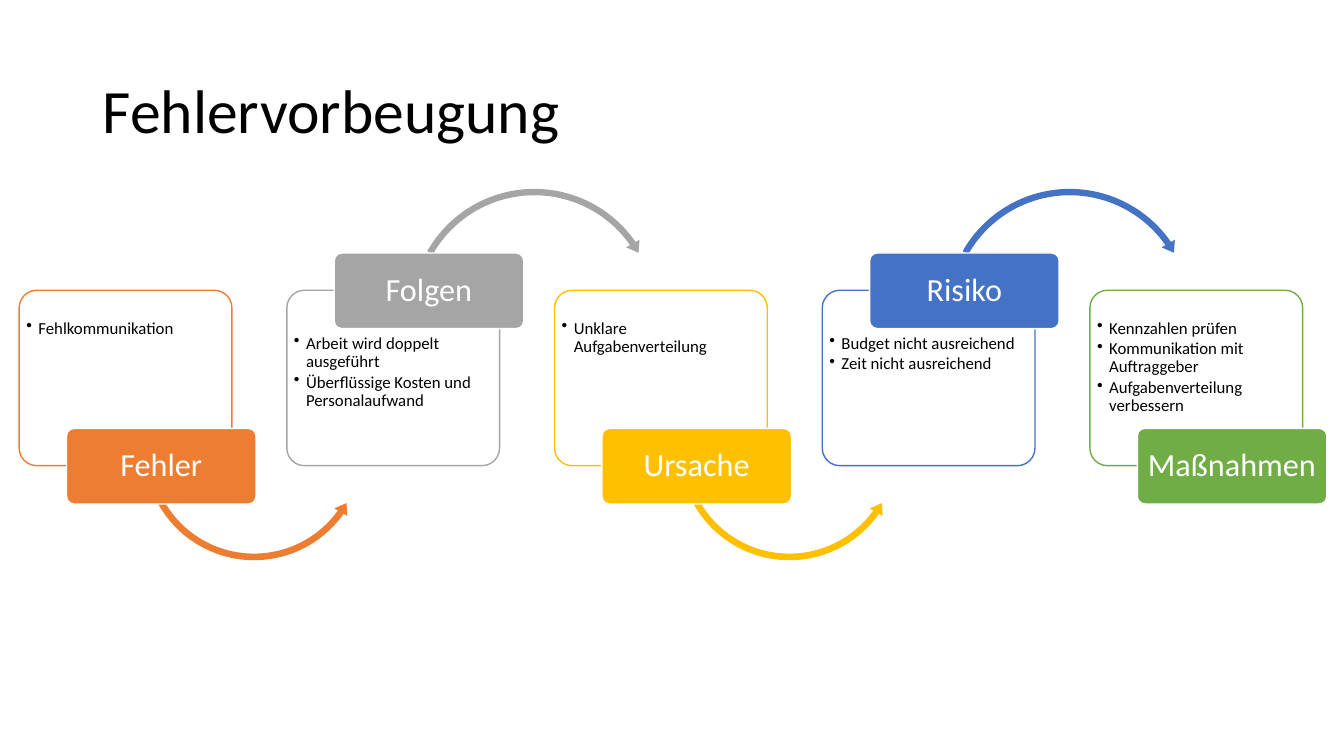
from lxml.etree import SubElement
from pptx import Presentation
from pptx.dml.color import RGBColor
from pptx.enum.shapes import MSO_SHAPE as Kind
from pptx.enum.text import MSO_ANCHOR as Anchor, MSO_AUTO_SIZE as Fit, PP_ALIGN as Align
from pptx.oxml.ns import qn
from pptx.util import Inches, Pt

BLACK = RGBColor(0x00, 0x00, 0x00)
WHITE = RGBColor(0xFF, 0xFF, 0xFF)
ORANGE = RGBColor(0xED, 0x7D, 0x31)
GREY = RGBColor(0xA5, 0xA5, 0xA5)
GOLD = RGBColor(0xFF, 0xC0, 0x00)
BLUE = RGBColor(0x44, 0x72, 0xC4)
GREEN = RGBColor(0x70, 0xAD, 0x47)

STEPS = [
    ("Fehler", ORANGE, ["Fehlkommunikation"]),
    ("Folgen", GREY, ["Arbeit wird doppelt ausgeführt",
                      "Überflüssige Kosten und Personalaufwand"]),
    ("Ursache", GOLD, ["Unklare Aufgabenverteilung"]),
    ("Risiko", BLUE, ["Budget nicht ausreichend", "Zeit nicht ausreichend"]),
    ("Maßnahmen", GREEN, ["Kennzahlen prüfen", "Kommunikation mit Auftraggeber",
                          "Aufgabenverteilung verbessern"]),
]
LEFT = 0.19
PITCH = (10.81 - LEFT) / 4
DOWN = [0.029, 3.489, 21.244, 90.245, 0.033]
OVER = [0.025, 3.095, 195.15, 125.755, 0.03]


def add_form(kind, x, y, w, h, adjust, fill, line=None):
    form = slide.shapes.add_shape(kind, Inches(x), Inches(y), Inches(w), Inches(h))
    form.shadow.inherit = False
    for i, value in enumerate(adjust):
        form.adjustments[i] = value
    form.fill.solid()
    form.fill.fore_color.rgb = fill
    if line is None:
        form.line.fill.background()
    else:
        form.line.color.rgb = line
        form.line.width = Pt(1)
    return form


def style(para, size, color, align):
    para.alignment = align
    para.line_spacing = 0.9
    para.font.name = "Calibri"
    para.font.size = Pt(size)
    para.font.color.rgb = color


deck = Presentation()
deck.slide_width = Inches(13.33)
deck.slide_height = Inches(7.5)
slide = deck.slides.add_slide(deck.slide_layouts[5])

title = slide.shapes.title
title.left, title.top = Inches(0.92), Inches(0.4)
title.width, title.height = Inches(11.5), Inches(1.45)
frame = title.text_frame
frame.text = "Fehlervorbeugung"
frame.auto_size = Fit.NONE
frame.vertical_anchor = Anchor.MIDDLE
style(frame.paragraphs[0], 44, BLACK, Align.LEFT)

for i, (name, color, points) in enumerate(STEPS):
    x = LEFT + i * PITCH
    high = i % 2 == 1

    card = add_form(Kind.ROUNDED_RECTANGLE, x, 2.88, 2.11, 1.74, [0.1], WHITE, color)
    frame = card.text_frame
    frame.word_wrap = True
    frame.vertical_anchor = Anchor.TOP
    frame.margin_left = frame.margin_right = Inches(0.02)
    frame.margin_top = Inches(0.39 if high else 0.24)
    frame.margin_bottom = 0
    frame.text = "\n".join(points)
    for para in frame.paragraphs:
        props = para._p.get_or_add_pPr()
        props.set("marL", str(Inches(0.12)))
        props.set("indent", str(-Inches(0.12)))
        SubElement(props, qn("a:buChar")).set("char", "•")
        style(para, 12, BLACK, Align.LEFT)
        para.space_after = Pt(1.8)

    if i < len(STEPS) - 1:
        if high:
            add_form(Kind.CIRCULAR_ARROW, x + 1.19, 1.83, 2.53, 2.53, OVER, color)
        else:
            add_form(Kind.LEFT_CIRCULAR_ARROW, x + 1.2, 3.34, 2.26, 2.26, DOWN, color)

    label = add_form(Kind.ROUNDED_RECTANGLE, x + 0.47, 2.51 if high else 4.25,
                     1.88, 0.75, [0.1], color, WHITE)
    frame = label.text_frame
    frame.word_wrap = True
    frame.vertical_anchor = Anchor.MIDDLE
    frame.margin_left = frame.margin_right = Inches(0.05)
    frame.margin_top = frame.margin_bottom = Inches(0.03)
    frame.text = name
    style(frame.paragraphs[0], 23, WHITE, Align.CENTER)

deck.save("out.pptx")
